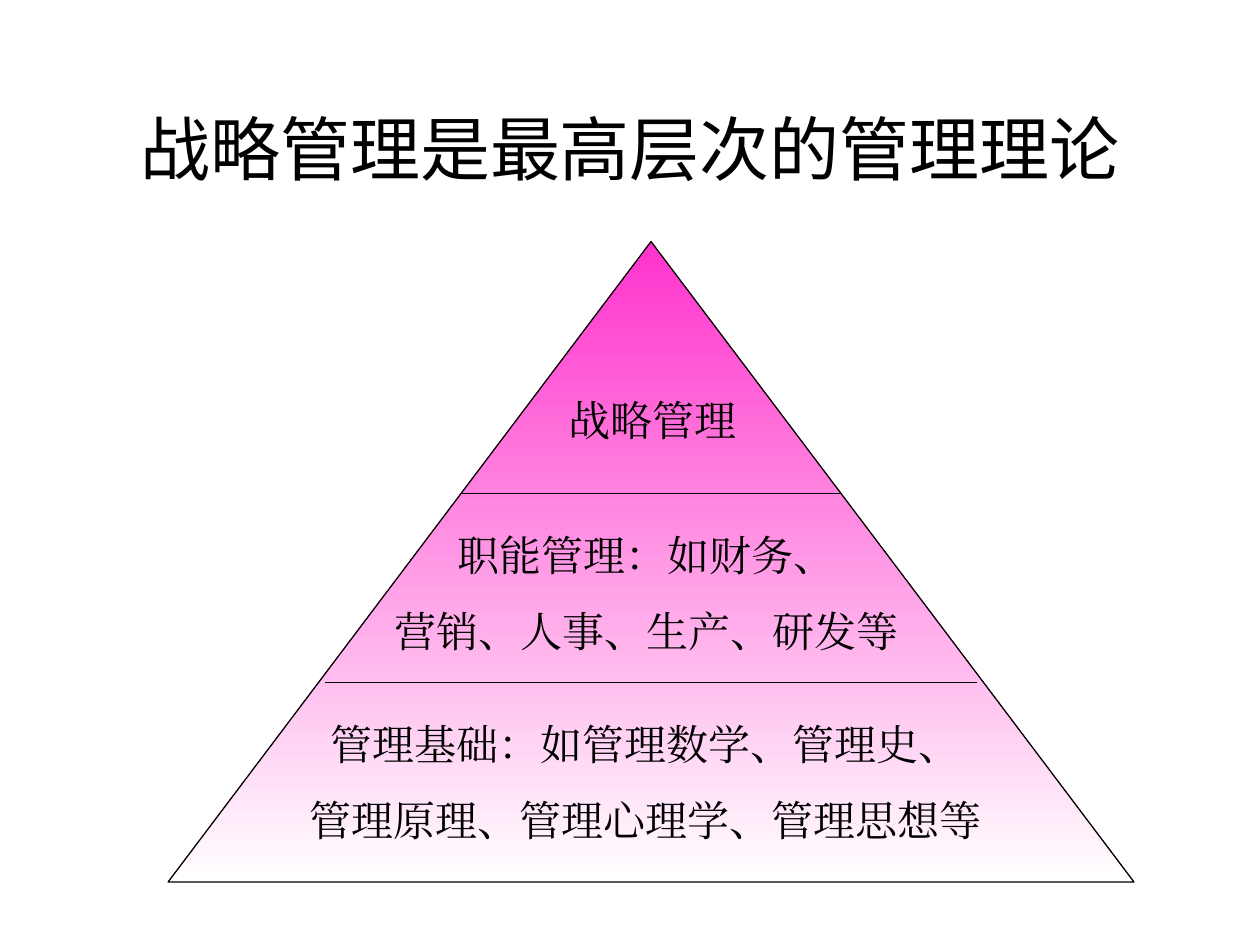
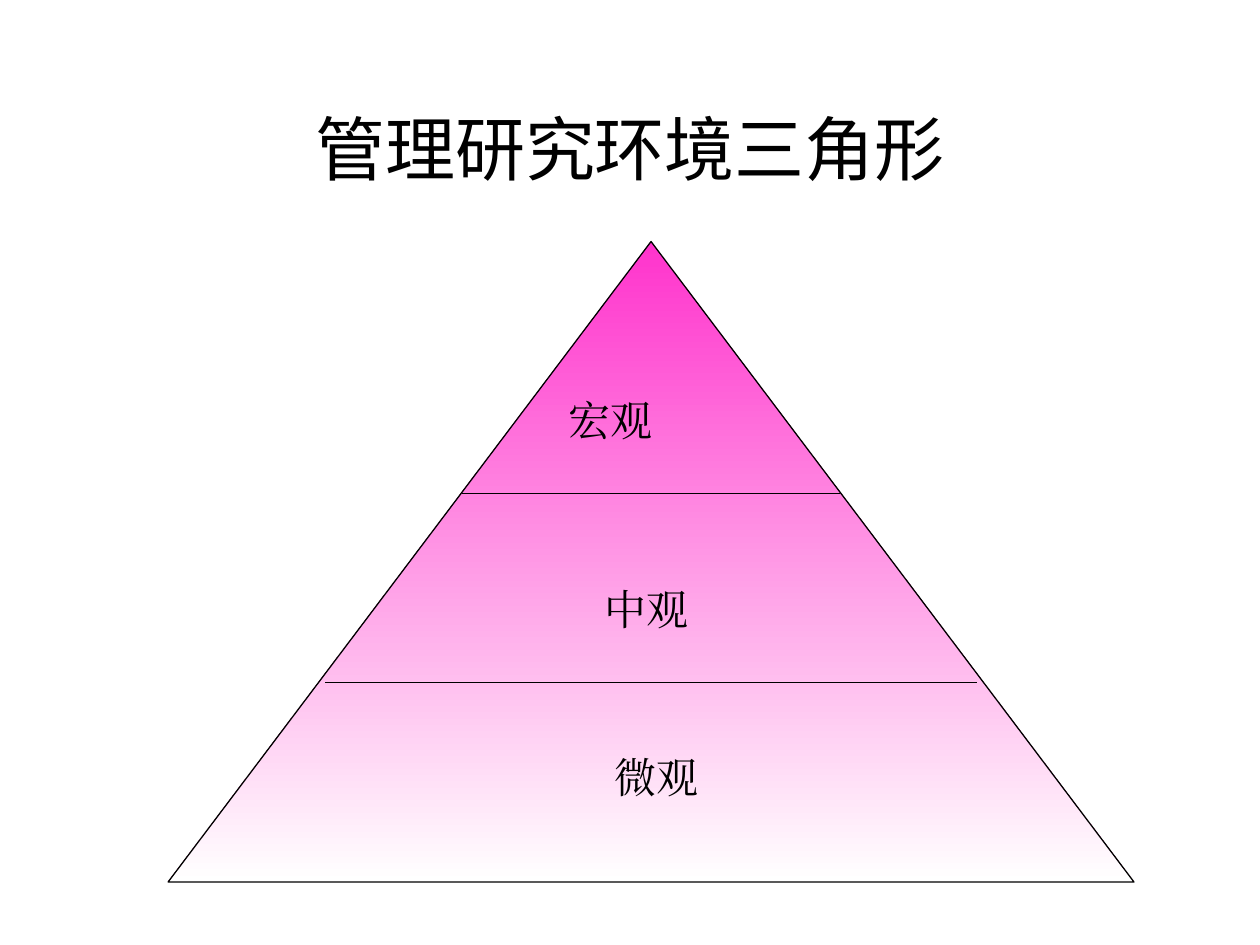
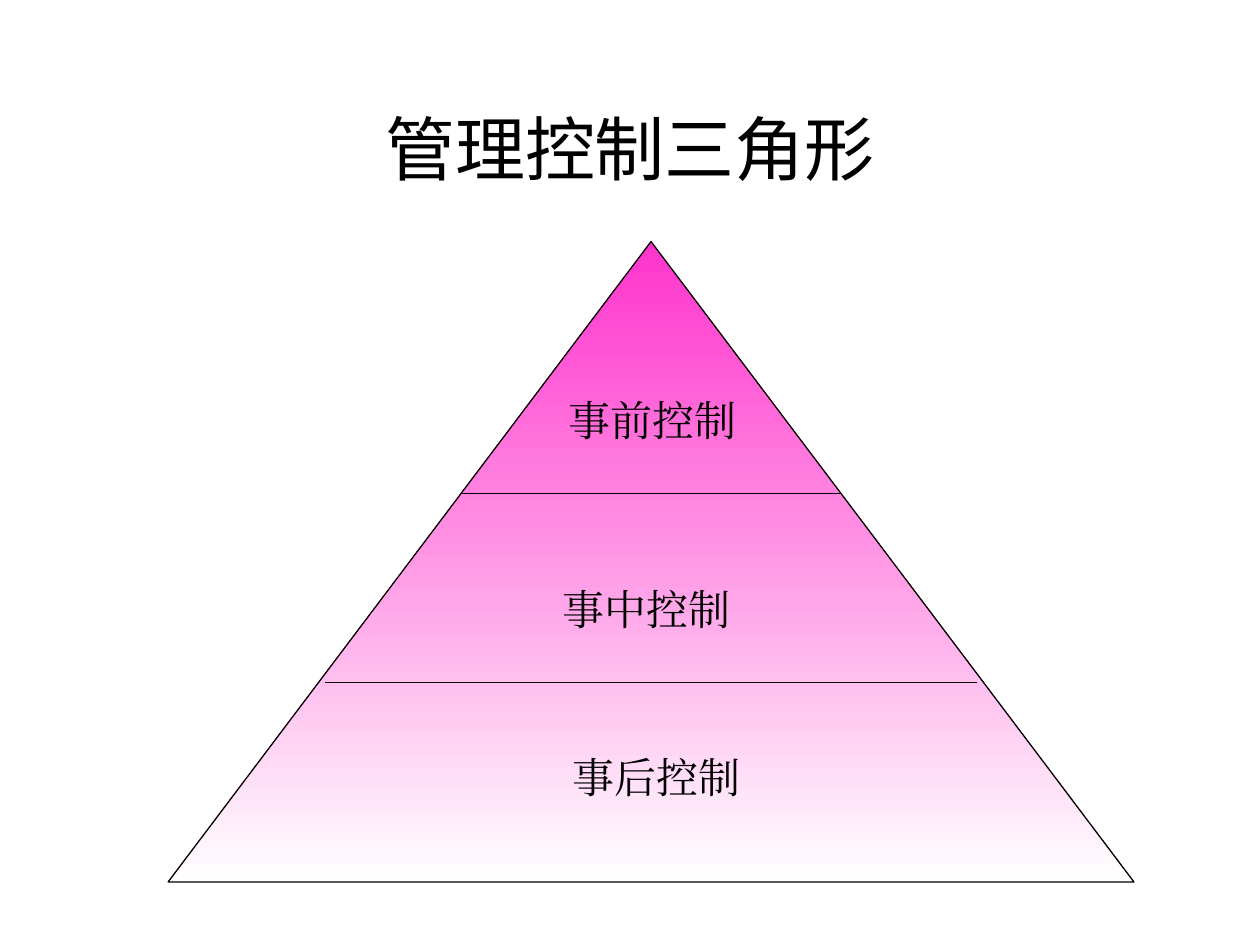
from dataclasses import dataclass

from lxml import etree
from pptx import Presentation
from pptx import util as u
from pptx.dml.color import RGBColor
from pptx.enum import shapes, text
from pptx.oxml.ns import qn
from pptx.util import Cm


@dataclass(frozen=True)
class Theme:
    ink: RGBColor = RGBColor(0x00, 0x00, 0x00)
    peak: RGBColor = RGBColor(0xFF, 0x33, 0xCC)
    base: RGBColor = RGBColor(0xFF, 0xFF, 0xFF)
    title_font: str = "Noto Sans CJK SC"
    body_font: str = "Times New Roman"
    title_size: float = 40
    body_size: float = 24
    space_before: float = 15
    line_width: float = 0.74


THEME = Theme()

# Regions in cm: left, top, width, height
TITLE_BOX = (1.27, 1.07, 22.86, 3.81)
PYRAMID_BOX = (3.39, 4.87, 19.47, 12.91)

# Dividers relative to the pyramid: left, right, y
DIVIDERS = [(3.17, 16.30, 8.89), (5.93, 13.55, 5.08)]

# Label places relative to the pyramid: left, top, width
TOP = (7.83, 2.96, 4.02)
MIDDLE = (4.02, 6.77, 11.23)
BOTTOM = (1.90, 10.16, 15.88)
MIDDLE_TWO_LINES = (4.02, 5.67, 11.23)
BOTTOM_TWO_LINES = (1.69, 9.48, 15.88)
LABEL_HEIGHTS = {1: 1.27, 2: 2.82}

SLIDES = [
    ("战略管理是最高层次的管理理论", [
        (TOP, ["战略管理"]),
        (MIDDLE_TWO_LINES, ["职能管理：如财务、", "营销、人事、生产、研发等"]),
        (BOTTOM_TWO_LINES, ["管理基础：如管理数学、管理史、",
                            "管理原理、管理心理学、管理思想等"]),
    ]),
    ("管理研究环境三角形", [
        (TOP, ["宏观"]), (MIDDLE, ["中观"]), (BOTTOM, ["微观"]),
    ]),
    ("管理控制三角形", [
        (TOP, ["事前控制"]), (MIDDLE, ["事中控制"]), (BOTTOM, ["事后控制"]),
    ]),
]


def style_paragraph(p, font, size, align):
    p.alignment = align
    p.font.size = u.Pt(size)
    p.font.color.rgb = THEME.ink
    p.font.name = font
    # The East Asian typeface follows the Latin one
    props = p._p.get_or_add_pPr().find(qn("a:defRPr"))
    etree.SubElement(props, qn("a:ea")).set("typeface", font)


def style_line(line):
    line.color.rgb = THEME.ink
    line.width = u.Pt(THEME.line_width)


def add_title(s, box, title):
    tf = s.shapes.add_textbox(*map(Cm, box)).text_frame
    tf.word_wrap = True
    tf.vertical_anchor = text.MSO_ANCHOR.MIDDLE
    tf.text = title
    style_paragraph(tf.paragraphs[0], THEME.title_font, THEME.title_size,
                    text.PP_ALIGN.CENTER)


def add_label(s, box, lines, align):
    tf = s.shapes.add_textbox(*map(Cm, box)).text_frame
    tf.word_wrap = True
    tf.auto_size = text.MSO_AUTO_SIZE.SHAPE_TO_FIT_TEXT
    tf.text = "\n".join(lines)
    for p in tf.paragraphs:
        p.space_before = u.Pt(THEME.space_before)
        style_paragraph(p, THEME.body_font, THEME.body_size, align)


def add_pyramid(s, box, labels):
    left, top, _, _ = box

    # Shaded triangle
    sp = s.shapes.add_shape(shapes.MSO_SHAPE.ISOSCELES_TRIANGLE, *map(Cm, box))
    sp.shadow.inherit = False
    sp.fill.gradient()
    sp.fill.gradient_angle = 270
    for stop, colour in zip(sp.fill.gradient_stops, (THEME.peak, THEME.base)):
        stop.color.rgb = colour
    for stop, position in zip(sp.fill.gradient_stops, (0, 1)):
        stop.position = position
    style_line(sp.line)

    # Lines between the levels
    for x1, x2, y in DIVIDERS:
        divider = s.shapes.add_connector(
            shapes.MSO_CONNECTOR.STRAIGHT,
            Cm(left + x1), Cm(top + y), Cm(left + x2), Cm(top + y))
        style_line(divider.line)
        etree.SubElement(divider._element.spPr, qn("a:effectLst"))

    # Level labels: the top one is left-aligned, the others centred
    for (x, y, width), lines in labels:
        align = text.PP_ALIGN.LEFT if (x, y, width) == TOP else text.PP_ALIGN.CENTER
        label_box = (left + x, top + y, width, LABEL_HEIGHTS[len(lines)])
        add_label(s, label_box, lines, align)


def main():
    prs = Presentation()
    prs.slide_width, prs.slide_height = Cm(25.4), Cm(19.05)
    for title, labels in SLIDES:
        s = prs.slides.add_slide(prs.slide_layouts[6])
        add_title(s, TITLE_BOX, title)
        add_pyramid(s, PYRAMID_BOX, labels)
    prs.save("out.pptx")


main()
